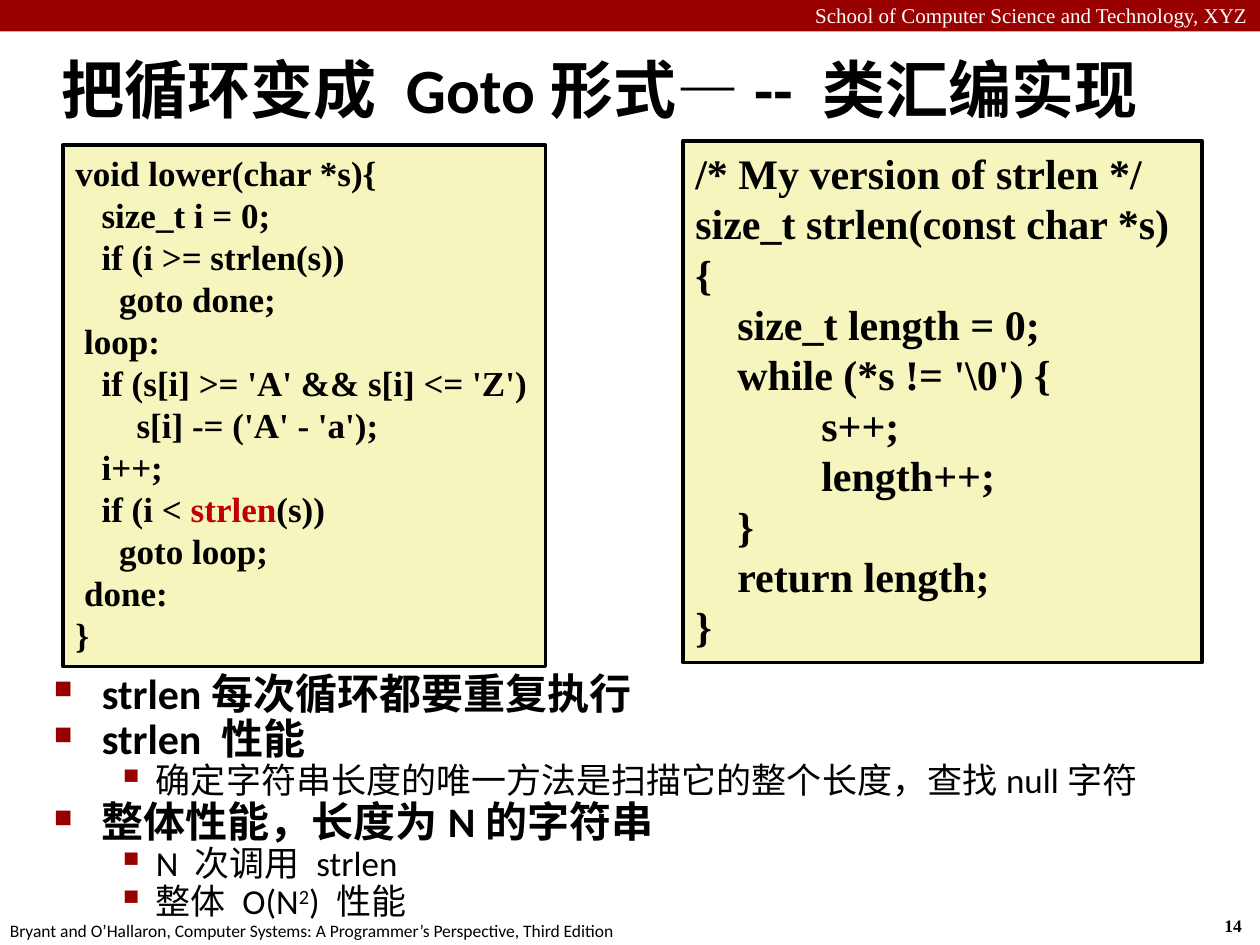
from pptx import Presentation
from pptx import util as u
from pptx.dml.color import RGBColor
from pptx.enum import shapes, text
from pptx.oxml import parse_xml
from pptx.oxml.ns import nsdecls

RED = RGBColor(0x99, 0x00, 0x00)
ACCENT = RGBColor(0xC0, 0x00, 0x00)
CREAM = RGBColor(0xF6, 0xF5, 0xBD)
BLACK = RGBColor(0x00, 0x00, 0x00)
WHITE = RGBColor(0xFF, 0xFF, 0xFF)
SERIF, SANS, MONO = "Times New Roman", "Calibri", "Courier New"

WIDTH, HEIGHT = u.Inches(10), u.Inches(7.5)
COL, ROW = WIDTH / 100, HEIGHT / 75  # grid of 100 columns by 75 rows

LOWER = [  # (leading columns, code)
    (0, "void lower(char *s){"),
    (3, "size_t i = 0;"),
    (3, "if (i >= strlen(s))"),
    (5, "goto done;"),
    (1, "loop:"),
    (3, "if (s[i] >= 'A' && s[i] <= 'Z')"),
    (7, "s[i] -= ('A' - 'a');"),
    (3, "i++;"),
    (3, "if (i < ", ("strlen", ACCENT), "(s))"),
    (5, "goto loop;"),
    (1, "done:"),
    (0, "}"),
]
STRLEN = [
    (0, "/* My version of strlen */"),
    (0, "size_t strlen(const char *s)"),
    (0, "{"),
    (4, "size_t length = 0;"),
    (4, "while (*s != '\\0') {"),
    (12, "s++;"),
    (12, "length++;"),
    (4, "}"),
    (4, "return length;"),
    (0, "}"),
]
POINTS = [  # (level, runs as (text, format))
    (0, [("strlen", {}), ("每次循环都要重复执行", {"font": MONO})]),
    (0, [("strlen 性能", {})]),
    (1, [("确定字符串长度的唯一方法是扫描它的整个长度，查找null字符", {})]),
    (0, [("整体性能，长度为N的字符串", {})]),
    (1, [("N 次调用 strlen", {})]),
    (1, [("整体 O(N", {}), ("2", {"raised": 30}), (") 性能", {})]),
]
# per level: size, bold, left margin and hang in inches, bullet, bullet size in %
LEVELS = [(24, True, 0.38, 0.38, "■", 60), (20, False, 0.81, 0.31, "▪", 110)]


def grid(box):
    x, y, w, h = box
    return [u.Emu(round(n)) for n in (x * COL, y * ROW, w * COL, h * ROW)]


def write(p, words, size=20, font=SERIF, color=BLACK, bold=False, raised=0):
    r = p.add_run()
    r.text = words
    f = r.font
    f.size, f.name, f.bold = u.Pt(size), font, bold
    f.color.rgb = color
    if raised:
        f._element.set("baseline", str(raised * 1000))


def paragraphs(tf, count):
    return [tf.paragraphs[0]] + [tf.add_paragraph() for _ in range(count - 1)]


def rectangle(s, box, fill):
    sp = s.shapes.add_shape(shapes.MSO_SHAPE.RECTANGLE, *grid(box))
    sp.shadow.inherit = False
    sp.fill.solid()
    sp.fill.fore_color.rgb = fill
    sp.line.fill.background()
    return sp


def text_box(s, box, wrap=True, anchor=text.MSO_ANCHOR.TOP):
    tf = s.shapes.add_textbox(*grid(box)).text_frame
    tf.word_wrap, tf.vertical_anchor = wrap, anchor
    return tf


def header(s, box):
    x, y, w, h = box
    rectangle(s, box, RED)
    p = text_box(s, (x, y - 0.3, w, h + 0.5)).paragraphs[0]
    p.alignment = text.PP_ALIGN.RIGHT
    write(p, "School of Computer Science and Technology, XYZ", size=12, color=WHITE)


def title(s, box):
    p = text_box(s, box, anchor=text.MSO_ANCHOR.MIDDLE).paragraphs[0]
    write(p, "把循环变成 Goto形式—-- 类汇编实现", size=36, font=SANS, bold=True)


def code_panel(s, box, lines, size):
    sp = rectangle(s, box, CREAM)
    sp.line.color.rgb, sp.line.width = BLACK, u.Pt(2)
    tf = sp.text_frame
    tf.word_wrap, tf.vertical_anchor = True, text.MSO_ANCHOR.TOP
    for p, (columns, *parts) in zip(paragraphs(tf, len(lines)), lines):
        p.alignment = text.PP_ALIGN.LEFT
        # a space in the serif font is a quarter of the type size
        p._p.get_or_add_pPr().set("marL", str(u.Pt(columns * size / 4)))
        for part in parts:
            words, color = (part, BLACK) if isinstance(part, str) else part
            write(p, words, size=size, color=color, bold=True)


def add_bullet(p, margin, hang, char, percent):
    pPr = p._p.get_or_add_pPr()
    pPr.set("marL", str(u.Inches(margin)))
    pPr.set("indent", str(-u.Inches(hang)))
    for xml in (f'<a:buClr {nsdecls("a")}><a:srgbClr val="{RED}"/></a:buClr>',
                f'<a:buSzPct {nsdecls("a")} val="{percent * 1000}"/>',
                f'<a:buChar {nsdecls("a")} char="{char}"/>'):
        pPr.append(parse_xml(xml))


def bullet_list(s, box):
    tf = text_box(s, box)
    for p, (level, runs) in zip(paragraphs(tf, len(POINTS)), POINTS):
        size, bold, *bullet = LEVELS[level]
        p.level, p.line_spacing = level, 0.9
        add_bullet(p, *bullet)
        for words, extra in runs:
            write(p, words, **{"size": size, "bold": bold, "font": SANS, **extra})


def footer(s, box):
    x, y, w, h = box
    source = text_box(s, (x - 0.2, y + 0.4, 50.8, h), wrap=False)
    write(source.paragraphs[0], "Bryant and O’Hallaron, Computer Systems: "
          "A Programmer’s Perspective, Third Edition", size=10, font=SANS)
    number = text_box(s, (x + w - 3.8, y, 3.7, h), wrap=False)
    write(number.paragraphs[0], "14", size=10, bold=True)


def main():
    prs = Presentation()
    prs.slide_width, prs.slide_height = WIDTH, HEIGHT
    s = prs.slides.add_slide(prs.slide_layouts[6])
    header(s, (0, 0, 100, 2.5))
    footer(s, (0, 72.1, 100, 2.7))
    title(s, (3.9, 2.9, 96.1, 8.3))
    code_panel(s, (5, 11.5, 38.3, 41.4), LOWER, 20)
    code_panel(s, (54.2, 11.2, 41.2, 41.4), STRLEN, 24)
    bullet_list(s, (3.3, 52.9, 90.6, 20.1))
    prs.save("out.pptx")


if __name__ == "__main__":
    main()
